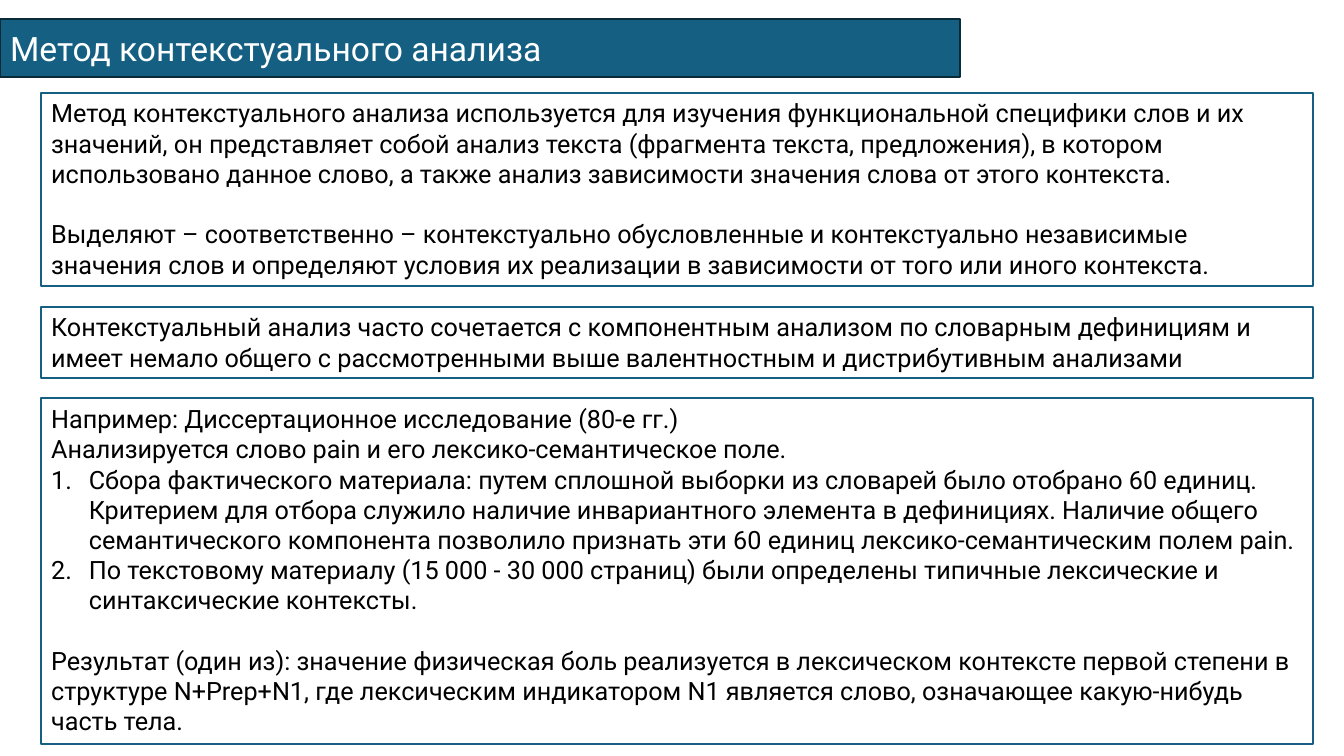
from lxml.etree import SubElement
from pptx import Presentation
from pptx.dml.color import RGBColor
from pptx.enum.shapes import MSO_SHAPE
from pptx.enum.text import MSO_ANCHOR, MSO_AUTO_SIZE, PP_ALIGN
from pptx.oxml.ns import qn
from pptx.util import Cm, Pt

TEAL, DARK_TEAL, WHITE, BLACK = "156082", "092A39", "FFFFFF", "000000"


def paint(shape, fill, line):
    shape.fill.solid()
    shape.fill.fore_color.rgb = RGBColor.from_string(fill)
    shape.line.color.rgb = RGBColor.from_string(line)
    shape.line.width = Pt(1.5)


def format_text(para, size, color):
    para.alignment = PP_ALIGN.LEFT
    for span in para.runs:
        span.font.name = "Roboto"
        span.font.size = Pt(size)
        span.font.color.rgb = RGBColor.from_string(color)


# Each box: height in cm and paragraphs as (style, text)
BOXES = [
    (4.88, [
        ("plain", "Метод контекстуального анализа используется для изучения функциональной "
                  "специфики слов и их значений, он представляет собой анализ текста (фрагмента "
                  "текста, предложения), в котором использовано данное слово, а также анализ "
                  "зависимости значения слова от этого контекста."),
        ("spaced", "Выделяют – соответственно – контекстуально обусловленные и контекстуально "
                   "независимые значения слов и определяют условия их реализации в зависимости "
                   "от того или иного контекста."),
    ]),
    (1.8, [
        ("plain", "Контекстуальный анализ часто сочетается с компонентным анализом по словарным "
                  "дефинициям и имеет немало общего с рассмотренными выше валентностным и "
                  "дистрибутивным анализами"),
    ]),
    (8.71, [
        ("plain", "Например: Диссертационное исследование (80-е гг.)"),
        ("plain", "Анализируется слово pain и его лексико-семантическое поле."),
        ("numbered", "Сбора фактического материала: путем сплошной выборки из словарей было "
                     "отобрано 60 единиц. Критерием для отбора служило наличие инвариантного "
                     "элемента в дефинициях. Наличие общего семантического компонента позволило "
                     "признать эти 60 единиц лексико-семантическим полем pain."),
        ("numbered", "По текстовому материалу (15 000 - 30 000 страниц) были определены типичные "
                     "лексические и синтаксические контексты."),
        ("spaced", "Результат (один из): значение физическая боль реализуется в лексическом "
                   "контексте первой степени в структуре N+Prep+N1, где лексическим индикатором "
                   "N1 является слово, означающее какую-нибудь часть тела."),
    ]),
]

deck = Presentation()
deck.slide_width, deck.slide_height = Cm(33.87), Cm(19.05)
page = deck.slides.add_slide(deck.slide_layouts[5])

# Title on a rounded banner
title = page.shapes.title
title.left, title.top, title.width, title.height = Cm(0), Cm(0.48), Cm(24.2), Cm(1.46)
SubElement(title.element.spPr, qn("a:prstGeom"), prst="roundRect")
paint(title, TEAL, DARK_TEAL)
title.text_frame.text = "Метод контекстуального анализа"
title.text_frame.auto_size = MSO_AUTO_SIZE.NONE
title.text_frame.vertical_anchor = MSO_ANCHOR.MIDDLE
format_text(title.text_frame.paragraphs[0], 24, WHITE)

# Outlined text boxes stacked with equal gaps
top, gap = 2.34, 0.51
for height, paragraphs in BOXES:
    box = page.shapes.add_shape(MSO_SHAPE.RECTANGLE, Cm(1.04), Cm(top), Cm(32.05), Cm(height))
    box.shadow.inherit = False
    paint(box, WHITE, TEAL)
    frame = box.text_frame
    frame.word_wrap = True
    frame.auto_size = MSO_AUTO_SIZE.SHAPE_TO_FIT_TEXT
    frame.vertical_anchor = MSO_ANCHOR.TOP
    frame.text = "\n".join(text for style, text in paragraphs)
    for para, (style, text) in zip(frame.paragraphs, paragraphs):
        if style == "spaced":
            para.space_before = Pt(21.5)
        elif style == "numbered":
            properties = para._p.get_or_add_pPr()
            properties.set("marL", str(Cm(0.95)))
            properties.set("indent", str(-Cm(0.95)))
            SubElement(properties, qn("a:buFont"), typeface="Roboto")
            SubElement(properties, qn("a:buAutoNum"), type="arabicPeriod")
        format_text(para, 18, BLACK)
    top += height + gap

deck.save("out.pptx")
